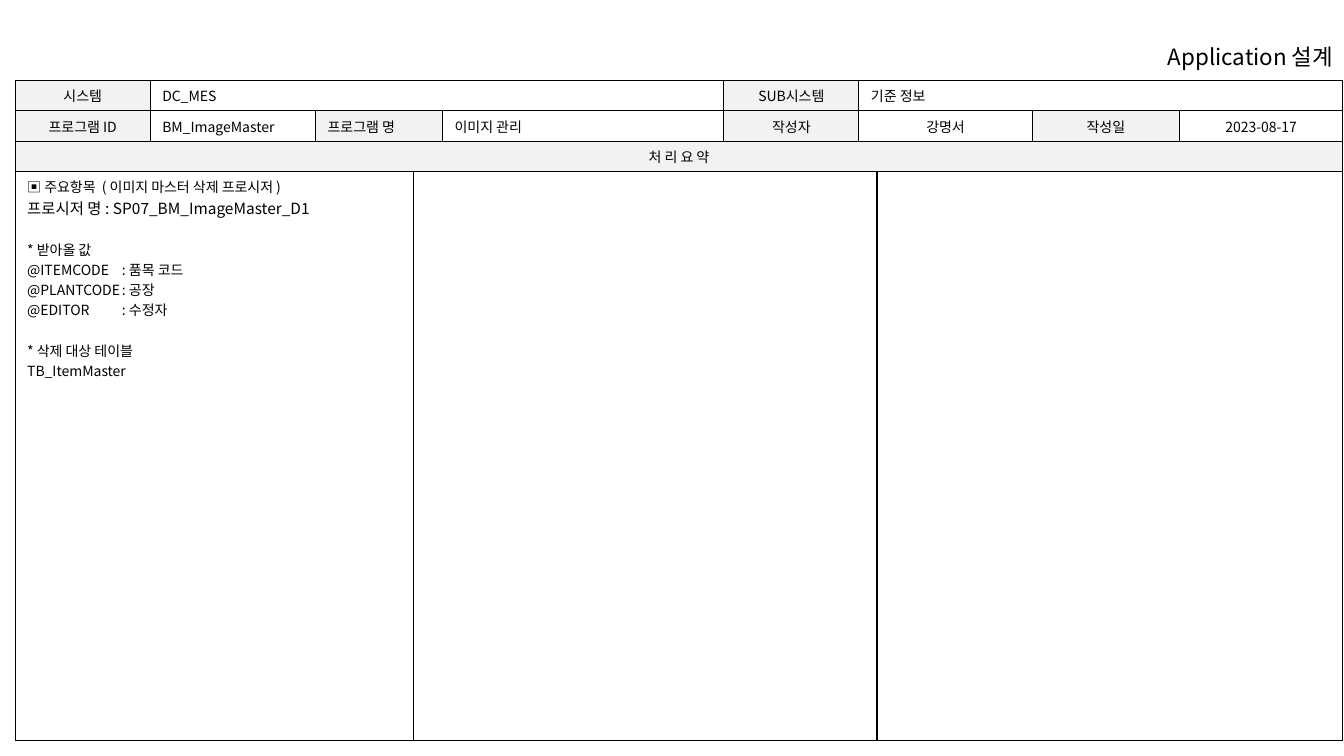
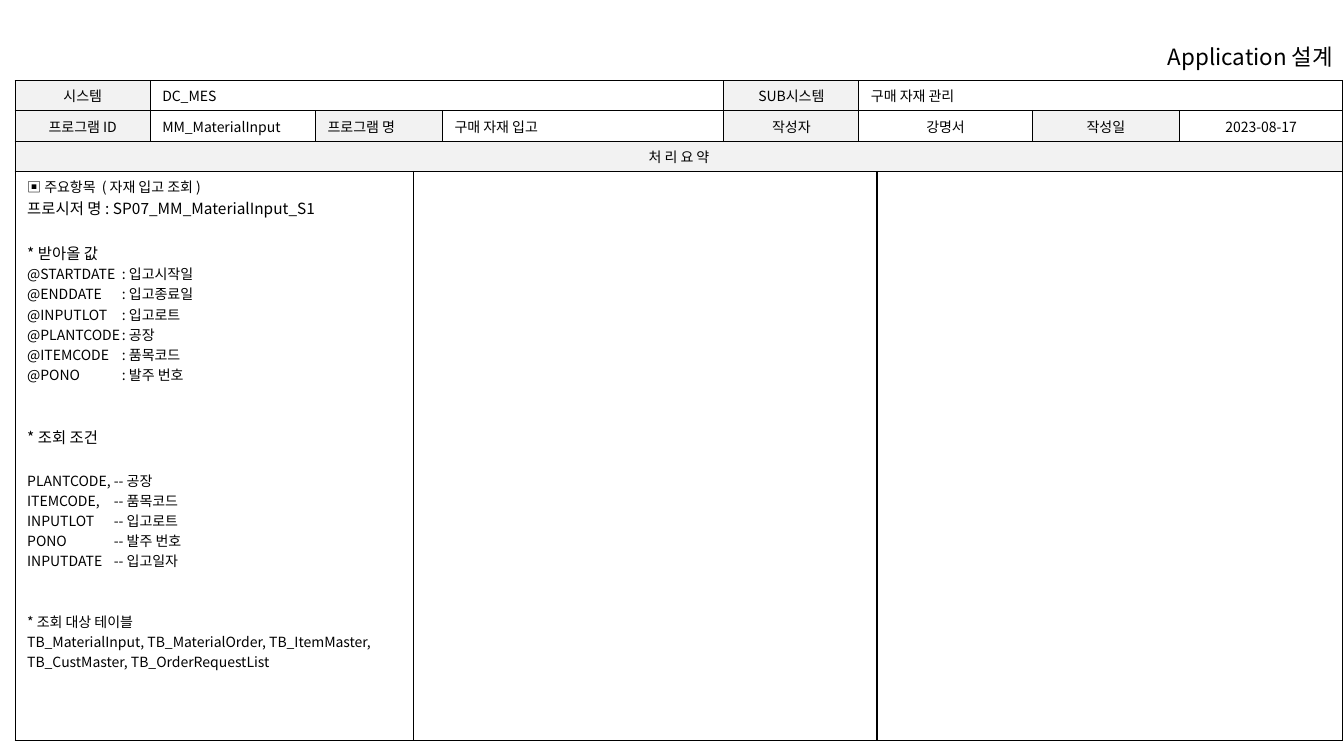
from lxml.etree import SubElement as Sub
from pptx import Presentation
from pptx.dml.color import RGBColor
from pptx.enum.text import MSO_ANCHOR as Anchor, PP_ALIGN as Align
from pptx.oxml.ns import qn
from pptx.util import Inches, Pt

BLACK = RGBColor(0x00, 0x00, 0x00)
GRAY = RGBColor(0xF2, 0xF2, 0xF2)
FONT = "Noto Sans CJK KR"
COLS = [1.34, 1.64, 0.97, 0.29, 2.79, 1.34, 0.18, 1.54, 1.46, 1.62]
ROWS = [0.3, 0.3, 0.3, 5.65]
LINE = 14.5  # height of one 10 pt line, in points


def write(para, text, size=10, align=Align.LEFT, before=0, tab=None):
    """Fill one paragraph; tab is the place of its tab stop in inches."""
    para.alignment = align
    para.space_before = Pt(before)
    if tab:
        stops = Sub(para._p.get_or_add_pPr(), qn("a:tabLst"))
        Sub(stops, qn("a:tab"), pos=str(Inches(tab)), algn="l")
    run = para.add_run()
    run.text = text
    font = run.font
    font.size, font.name = Pt(size), FONT
    font.color.rgb = BLACK
    Sub(run._r.get_or_add_rPr(), qn("a:ea"), typeface=FONT)


class Deck:
    def __init__(self):
        self.prs = Presentation()
        self.prs.slide_width = Inches(13.33)
        self.prs.slide_height = Inches(7.5)
        self.slide = None

    def page(self, title):
        self.slide = self.prs.slides.add_slide(self.prs.slide_layouts[6])
        box = self.slide.shapes.add_textbox(
            Inches(10.35), Inches(0.4), Inches(2.97), Inches(0.33))
        frame = box.text_frame
        frame.word_wrap = True
        frame.vertical_anchor = Anchor.MIDDLE
        write(frame.paragraphs[0], title, size=16, align=Align.RIGHT)

    def border(self, cell):
        props = cell._tc.get_or_add_tcPr()
        for side in ("lnL", "lnR", "lnT", "lnB"):
            line = Sub(props, qn("a:" + side), w=str(Pt(1)))
            fill = Sub(line, qn("a:solidFill"))
            Sub(fill, qn("a:srgbClr"), val=str(BLACK))

    def grid(self):
        table = self.slide.shapes.add_table(
            len(ROWS), len(COLS), Inches(0.15), Inches(0.8),
            Inches(sum(COLS)), Inches(sum(ROWS))).table
        table.first_row = table.horz_banding = False
        for col, width in zip(table.columns, COLS):
            col.width = Inches(width)
        for row, height in zip(table.rows, ROWS):
            row.height = Inches(height)
        for cell in table.iter_cells():
            cell.margin_left = cell.margin_right = Inches(0.12)
            cell.margin_top = cell.margin_bottom = Inches(0.05)
            self.border(cell)
            cell.fill.background()
            cell.text_frame.paragraphs[0].font.size = Pt(10)
        return table

    def cell(self, table, row, col, text="", span=1, head=False,
             align=Align.LEFT):
        cell = table.cell(row, col)
        if span > 1:
            cell.merge(table.cell(row, col + span - 1))
        if head:
            cell.fill.solid()
            cell.fill.fore_color.rgb = GRAY
        if text:
            write(cell.text_frame.paragraphs[0], text, align=align)
        return cell

    def sheet(self, system, code, name, notes):
        self.page("Application 설계")
        table = self.grid()
        mid = Align.CENTER
        # Header cells: row, column, text, span, shaded, alignment
        for spec in [
            (0, 0, "시스템", 1, True, mid),
            (0, 1, "DC_MES", 4),
            (0, 5, "SUB시스템", 1, True, mid),
            (0, 6, system, 4),
            (1, 0, "프로그램 ID", 1, True, mid),
            (1, 1, code),
            (1, 2, "프로그램 명", 2, True),
            (1, 4, name),
            (1, 5, "작성자", 1, True, mid),
            (1, 6, "강명서", 2, False, mid),
            (1, 8, "작성일", 1, True, mid),
            (1, 9, "2023-08-17", 1, False, mid),
            (2, 0, "처 리 요 약", 10, True, mid),
            (3, 3, "", 4),
            (3, 7, "", 3),
        ]:
            self.cell(table, *spec)
        # Summary notes
        frame = self.cell(table, 3, 0, span=3).text_frame
        for i, (text, style) in enumerate(notes):
            para = frame.add_paragraph() if i else frame.paragraphs[0]
            write(para, text, **style)


def intro(topic, proc):
    return [(f"▣ 주요항목  ( {topic} )", {}),
            (f"프로시저 명 : {proc}", {"size": 11})]


def pairs(items, mark, tab, before=0):
    return [(f"{key}\t{mark} {label}",
             {"tab": tab, "before": 0 if i else before})
            for i, (key, label) in enumerate(items)]


deck = Deck()

# Slide 1: delete procedure
deck.sheet("기준 정보", "BM_ImageMaster", "이미지 관리", [
    *intro("이미지 마스터 삭제 프로시저", "SP07_BM_ImageMaster_D1"),
    ("* 받아올 값", {"before": LINE}),
    *pairs([("@ITEMCODE", "품목 코드"), ("@PLANTCODE", "공장"),
            ("@EDITOR", "수정자")], ":", 0.94),
    ("* 삭제 대상 테이블", {"before": LINE}),
    ("TB_ItemMaster", {}),
])

# Slide 2: receipt query
deck.sheet("구매 자재 관리", "MM_MaterialInput", "구매 자재 입고", [
    *intro("자재 입고 조회", "SP07_MM_MaterialInput_S1"),
    ("* 받아올 값", {"size": 11, "before": 16}),
    *pairs([("@STARTDATE", "입고시작일"), ("@ENDDATE", "입고종료일"),
            ("@INPUTLOT", "입고로트"), ("@PLANTCODE", "공장"),
            ("@ITEMCODE", "품목코드"), ("@PONO", "발주 번호")], ":", 0.94),
    ("* 조회 조건", {"size": 11, "before": 2 * LINE}),
    *pairs([("PLANTCODE,", "공장"), ("ITEMCODE,", "품목코드"),
            ("INPUTLOT", "입고로트"), ("PONO", "발주 번호"),
            ("INPUTDATE", "입고일자")], "--", 0.86, before=16),
    ("* 조회 대상 테이블", {"before": 2 * LINE}),
    ("TB_MaterialInput, TB_MaterialOrder, TB_ItemMaster, "
     "TB_CustMaster, TB_OrderRequestList", {}),
])

deck.prs.save("out.pptx")
